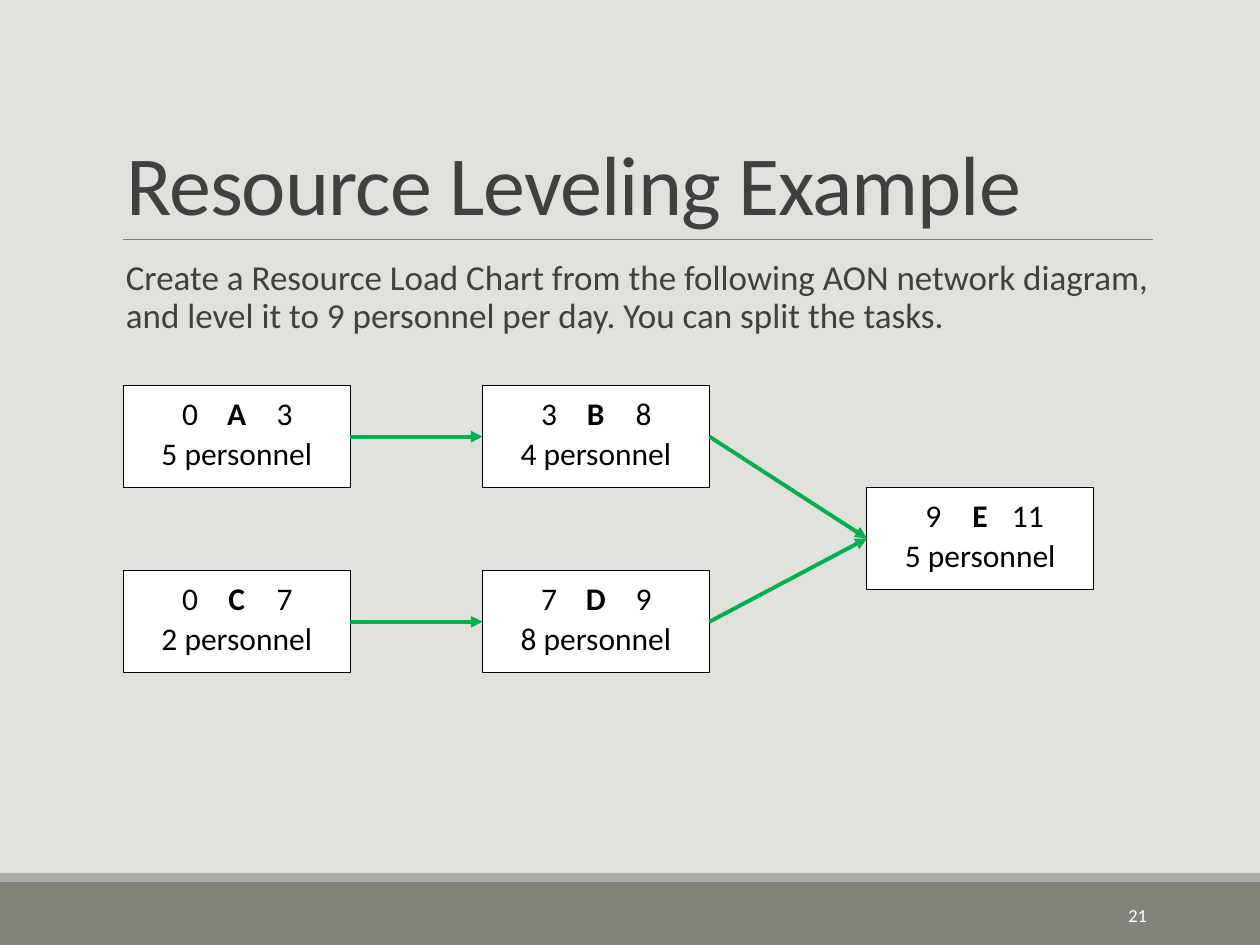
from lxml import etree
from pptx import Presentation
from pptx.dml.color import RGBColor
from pptx.enum.shapes import MSO_CONNECTOR, MSO_SHAPE
from pptx.enum.text import MSO_ANCHOR, PP_ALIGN
from pptx.oxml.ns import qn
from pptx.util import Inches, Pt

RECTANGLE, STRAIGHT = MSO_SHAPE.RECTANGLE, MSO_CONNECTOR.STRAIGHT
TOP, MIDDLE, BOTTOM = MSO_ANCHOR.TOP, MSO_ANCHOR.MIDDLE, MSO_ANCHOR.BOTTOM
LEFT, CENTER, RIGHT = PP_ALIGN.LEFT, PP_ALIGN.CENTER, PP_ALIGN.RIGHT
LEFT_SIDE, RIGHT_SIDE = 1, 3

PAPER = RGBColor(0xE1, 0xE1, 0xDB)
FOOTER = RGBColor(0x82, 0x84, 0x7C)
STRIPE = RGBColor(0xAC, 0xAD, 0xA8)
RULE = RGBColor(0x80, 0x80, 0x80)
INK = RGBColor(0x40, 0x40, 0x40)
BLACK = RGBColor(0, 0, 0)
WHITE = RGBColor(0xFF, 0xFF, 0xFF)
GREEN = RGBColor(0x00, 0xB0, 0x50)

# Content
TITLE = "Resource Leveling Example"
TASK = ("Create a Resource Load Chart from the following AON network diagram, "
        "and level it to 9 personnel per day. You can split the tasks.")
PAGE_NUMBER = "21"
# name: (start, finish, personnel, column, row)
ACTIVITIES = {
    "A": (0, 3, 5, 0, 0),
    "B": (3, 8, 4, 1, 0),
    "C": (0, 7, 2, 0, 1),
    "D": (7, 9, 8, 1, 1),
    "E": (9, 11, 5, 2, 0.55),
}
LINKS = ["AB", "CD", "BE", "DE"]

# Network grid, in inches
COLUMNS = (0.98, 3.83, 6.88)
FIRST_ROW, ROW_STEP = 3.06, 1.47
NODE_WIDTH, NODE_HEIGHT = 1.8, 0.81
TAB_STOPS = (0.43, 0.8, 1.18)


def add_span(para, text, size, color, bold=False):
    span = para.add_run()
    span.text = text
    for name, value in {"name": "Calibri", "size": Pt(size), "bold": bold}.items():
        setattr(span.font, name, value)
    span.font.color.rgb = color
    return span


def set_frame(box, anchor, **margins):
    frame = box.text_frame
    frame.word_wrap = True
    frame.vertical_anchor = anchor
    for side, value in margins.items():
        setattr(frame, f"margin_{side}", Inches(value))
    return frame.paragraphs[0]


def add_rectangle(page, place, fill, line=None):
    box = page.shapes.add_shape(RECTANGLE, *map(Inches, place))
    box.shadow.inherit = False
    box.fill.solid()
    box.fill.fore_color.rgb = fill
    if line is None:
        box.line.fill.background()
    else:
        box.line.color.rgb = line
        box.line.width = Pt(0.5)
    return box


def add_line(page, ends, color, width):
    line = page.shapes.add_connector(STRAIGHT, *map(Inches, ends))
    line.line.color.rgb = color
    line.line.width = Pt(width)
    etree.SubElement(line._element.spPr, qn("a:effectLst"))
    return line


def add_activity(page, name):
    start, finish, personnel, column, row = ACTIVITIES[name]
    place = (COLUMNS[column], FIRST_ROW + row * ROW_STEP, NODE_WIDTH, NODE_HEIGHT)
    box = add_rectangle(page, place, WHITE, BLACK)
    times = set_frame(box, TOP)
    staff = box.text_frame.add_paragraph()
    # Start, name and finish sit on centred tab stops
    tabs = etree.SubElement(times._p.get_or_add_pPr(), qn("a:tabLst"))
    for stop in TAB_STOPS:
        etree.SubElement(tabs, qn("a:tab"), pos=str(Inches(stop)), algn="ctr")
    for para, align in ((times, LEFT), (staff, CENTER)):
        para.alignment = align
        para.line_spacing = 1.06
    for text, bold in ((f"\t{start}\t", False), (name, True), (f"\t{finish}", False)):
        add_span(times, text, 18, BLACK, bold)
    add_span(staff, f"{personnel} personnel", 18, BLACK)
    return box


def main():
    deck = Presentation()
    deck.slide_width, deck.slide_height = Inches(10), Inches(7.5)
    page = deck.slides.add_slide(deck.slide_layouts[5])
    page.background.fill.solid()
    page.background.fill.fore_color.rgb = PAPER

    # Footer bands and title rule
    add_rectangle(page, (0, 7, 10, 0.5), FOOTER)
    add_rectangle(page, (0, 6.93, 10, 0.07), STRIPE)
    add_line(page, (0.98, 1.9, 9.15, 1.9), RULE, 0.5)

    # Title
    title = page.shapes.title
    title.left, title.top, title.width, title.height = map(
        Inches, (0.9, 0.31, 8.25, 1.59))
    para = set_frame(title, BOTTOM)
    para.alignment = LEFT
    para.line_spacing = 0.85
    span = add_span(para, TITLE, 48, INK)
    span.font._element.set("spc", "-50")

    # Task description
    box = page.shapes.add_textbox(*map(Inches, (0.9, 2.02, 8.25, 4.4)))
    para = set_frame(box, TOP, left=0.1, right=0)
    para.line_spacing = 0.9
    add_span(para, TASK, 20, INK)

    # Page number
    box = page.shapes.add_textbox(*map(Inches, (8.12, 7.06, 1.08, 0.4)))
    para = set_frame(box, MIDDLE)
    para.alignment = RIGHT
    add_span(para, PAGE_NUMBER, 10.5, WHITE)

    # Activity network
    nodes = {name: add_activity(page, name) for name in ACTIVITIES}
    for source, target in LINKS:
        arrow = add_line(page, (0, 0, 0, 0), GREEN, 2.25)
        arrow.begin_connect(nodes[source], RIGHT_SIDE)
        arrow.end_connect(nodes[target], LEFT_SIDE)
        etree.SubElement(arrow.line._get_or_add_ln(), qn("a:tailEnd"), type="triangle")

    deck.save("out.pptx")


if __name__ == "__main__":
    main()
